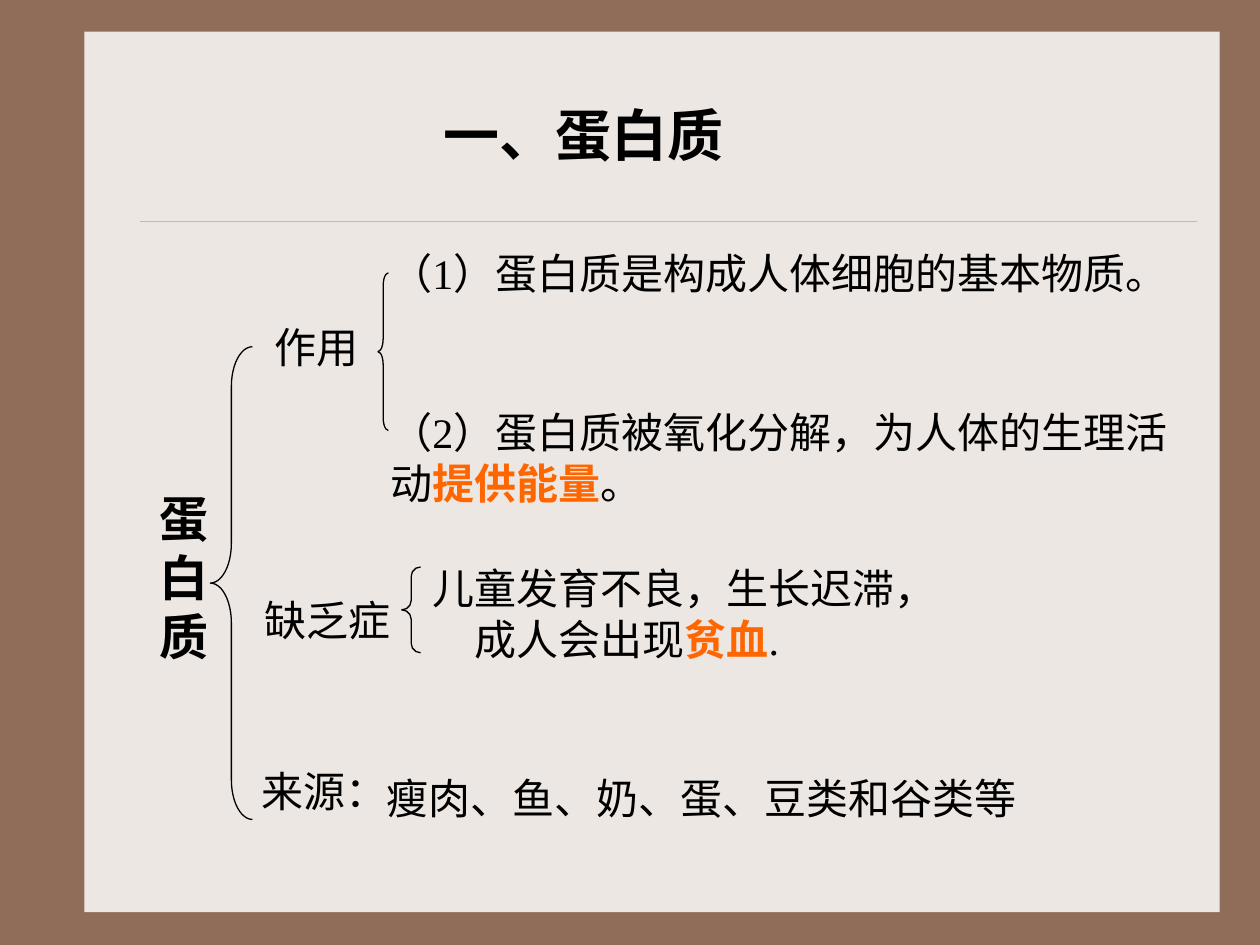
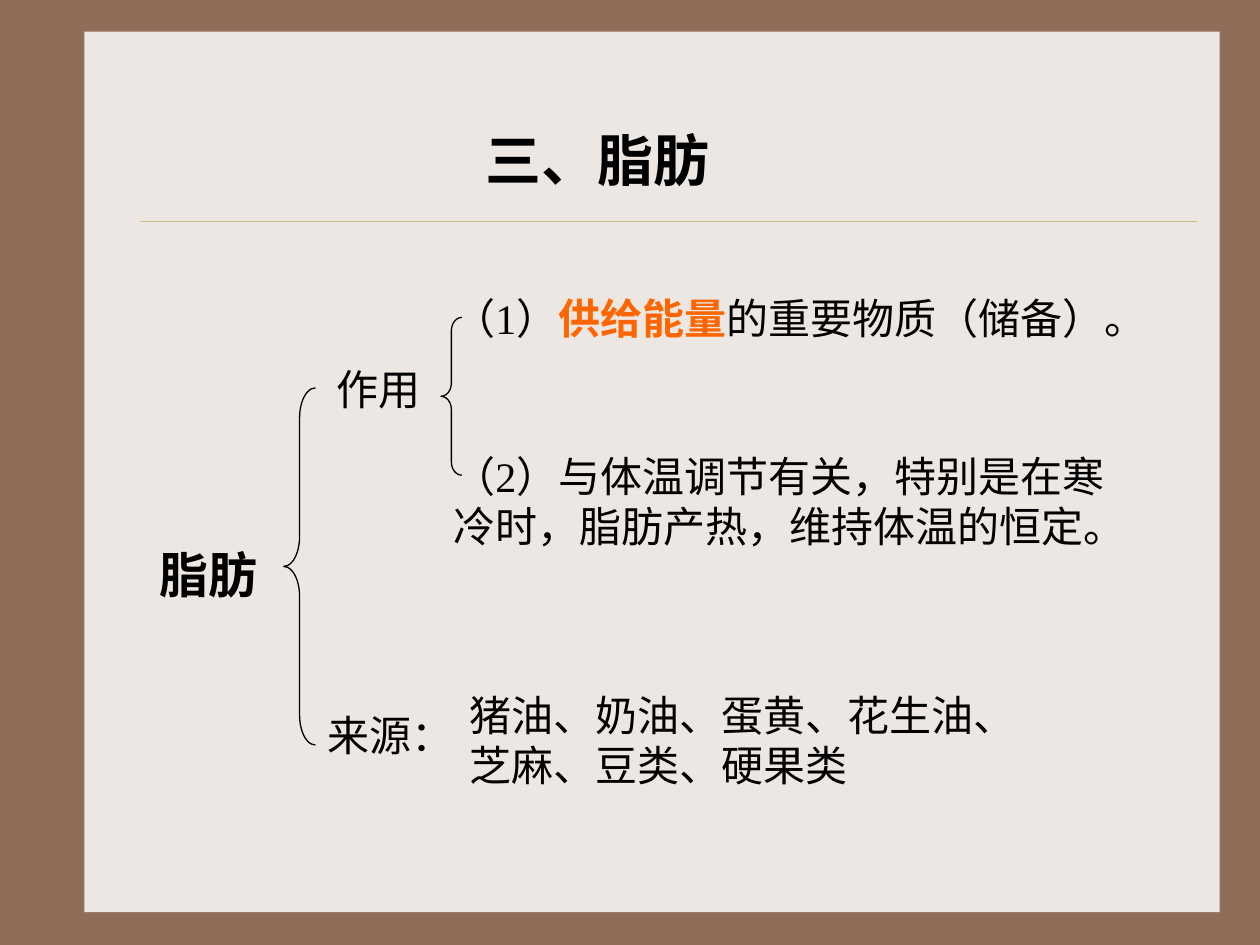
from lxml.etree import SubElement
from pptx import Presentation
from pptx.dml.color import RGBColor
from pptx.enum.shapes import MSO_CONNECTOR, MSO_SHAPE
from pptx.enum.text import MSO_ANCHOR, MSO_AUTO_SIZE, PP_ALIGN
from pptx.oxml.ns import qn
from pptx.util import Cm, Pt

BROWN = RGBColor(0x90, 0x6D, 0x58)
CREAM = RGBColor(0xED, 0xE7, 0xE3)
GOLD = RGBColor(0xCB, 0xBD, 0x83)
BLACK = RGBColor(0x00, 0x00, 0x00)
ORANGE = RGBColor(0xFF, 0x66, 0x00)

FONT = "Times New Roman"
TITLE_SIZE = 32
ROOT_SIZE = 28
BODY_SIZE = 24
LINE_HEIGHT = 1.27
TITLE_WIDTH = 6.55
TITLE_HEIGHT = 1.6


def key(text):
    return text, ORANGE, True


def plain(text):
    return text, BLACK, False


def strong(text):
    return text, BLACK, True


def add_run(paragraph, text, color, bold, size):
    run = paragraph.add_run()
    run.text = text
    run.font.name = FONT
    run.font.size = Pt(size)
    run.font.bold = bold
    run.font.color.rgb = color


def add_text(slide, left, top, width, *paragraphs, size=BODY_SIZE):
    box = slide.shapes.add_textbox(Cm(left), Cm(top), Cm(width), Cm(LINE_HEIGHT))
    frame = box.text_frame
    frame.word_wrap = True
    frame.auto_size = MSO_AUTO_SIZE.SHAPE_TO_FIT_TEXT
    for index, runs in enumerate(paragraphs):
        paragraph = frame.add_paragraph() if index else frame.paragraphs[0]
        for text, color, bold in runs:
            add_run(paragraph, text, color, bold, size)


def add_brace(slide, left, top, width, height, bend):
    brace = slide.shapes.add_shape(
        MSO_SHAPE.LEFT_BRACE, Cm(left), Cm(top), Cm(width), Cm(height)
    )
    brace.adjustments[0] = bend
    brace.shadow.inherit = False
    brace.fill.background()
    brace.line.color.rgb = BLACK
    brace.line.width = Pt(0.75)


def set_title(slide, left, top, text):
    title = slide.shapes.title
    title.left, title.top = Cm(left), Cm(top)
    title.width, title.height = Cm(TITLE_WIDTH), Cm(TITLE_HEIGHT)
    frame = title.text_frame
    frame.word_wrap = True
    frame.auto_size = MSO_AUTO_SIZE.NONE
    frame.vertical_anchor = MSO_ANCHOR.TOP
    paragraph = frame.paragraphs[0]
    paragraph.alignment = PP_ALIGN.LEFT
    add_run(paragraph, *strong(text), TITLE_SIZE)


def decorate_layout(layout, slide):
    for placeholder in list(layout.placeholders):
        if placeholder.placeholder_format.idx:
            layout.shapes.element.remove(placeholder.element)
    panel = slide.shapes.add_shape(
        MSO_SHAPE.RECTANGLE, Cm(1.7), Cm(0.64), Cm(22.89), Cm(17.75)
    )
    panel.shadow.inherit = False
    panel.fill.solid()
    panel.fill.fore_color.rgb = CREAM
    panel.line.fill.background()
    rule = slide.shapes.add_connector(
        MSO_CONNECTOR.STRAIGHT, Cm(2.82), Cm(4.45), Cm(24.13), Cm(4.45)
    )
    rule.line.color.rgb = GOLD
    rule.line.width = Pt(0.25)
    SubElement(rule.element.spPr, qn("a:effectLst"))
    for shape in (panel, rule):
        layout.shapes.element.append(shape.element)


def build_protein(slide):
    set_title(slide, 8.68, 1.9, "一、蛋白质")
    add_text(slide, 2.97, 9.73, 1.35, *([strong(letter)] for letter in "蛋白质"), size=ROOT_SIZE)
    add_brace(slide, 4.24, 6.99, 0.85, 9.53, 0.94)

    add_text(slide, 5.28, 6.35, 2.34, [plain("作用")])
    add_brace(slide, 7.62, 5.5, 0.21, 3.18, 1.25)
    add_text(slide, 7.62, 4.87, 15.67, [plain("（1）蛋白质是构成人体细胞的基本物质。")])
    add_text(
        slide, 7.62, 8.08, 16.8,
        [plain("（2）蛋白质被氧化分解，为人体的生理活")],
        [plain("动"), key("提供能量"), plain("。")],
    )

    add_text(slide, 5.08, 11.85, 3.23, [plain("缺乏症")])
    add_brace(slide, 8.1, 11.43, 0.38, 1.73, 0.5)
    add_text(
        slide, 8.47, 11.22, 14.6,
        [plain("儿童发育不良，生长迟滞，")],
        [plain("　成人会出现"), key("贫血"), plain(".")],
    )

    add_text(slide, 5.03, 15.3, 2.59, [plain("来源：")])
    add_text(slide, 7.54, 15.45, 13.64, [plain("瘦肉、鱼、奶、蛋、豆类和谷类等")])


def build_fat(slide):
    set_title(slide, 9.53, 2.41, "三、脂肪")
    add_text(slide, 2.97, 10.85, 2.7, [strong("脂肪")], size=ROOT_SIZE)
    add_brace(slide, 5.72, 7.82, 0.64, 7.2, 0.94)

    add_text(slide, 6.53, 7.2, 2.34, [plain("作用")])
    add_brace(slide, 8.89, 6.4, 0.42, 3.18, 0.63)
    add_text(
        slide, 8.89, 5.77, 14.58,
        [plain("（1）"), key("供给能量"), plain("的重要物质（储备）。")],
    )
    add_text(
        slide, 8.89, 8.95, 14.17,
        [plain("（2）与体温调节有关，特别是在寒冷时，脂肪产热，维持体温的恒定。")],
    )

    add_text(slide, 6.35, 14.18, 2.54, [plain("来源：")])
    add_text(
        slide, 9.22, 13.77, 12.14,
        [plain("猪油、奶油、蛋黄、花生油、芝麻、豆类、硬果类")],
    )


def main():
    presentation = Presentation()
    presentation.slide_width = Cm(25.4)
    presentation.slide_height = Cm(19.05)
    background = presentation.slide_master.background.fill
    background.solid()
    background.fore_color.rgb = BROWN

    layout = presentation.slide_layouts.get_by_name("Title Only")
    protein_slide = presentation.slides.add_slide(layout)
    decorate_layout(layout, protein_slide)
    build_protein(protein_slide)
    build_fat(presentation.slides.add_slide(layout))
    presentation.save("out.pptx")


if __name__ == "__main__":
    main()
